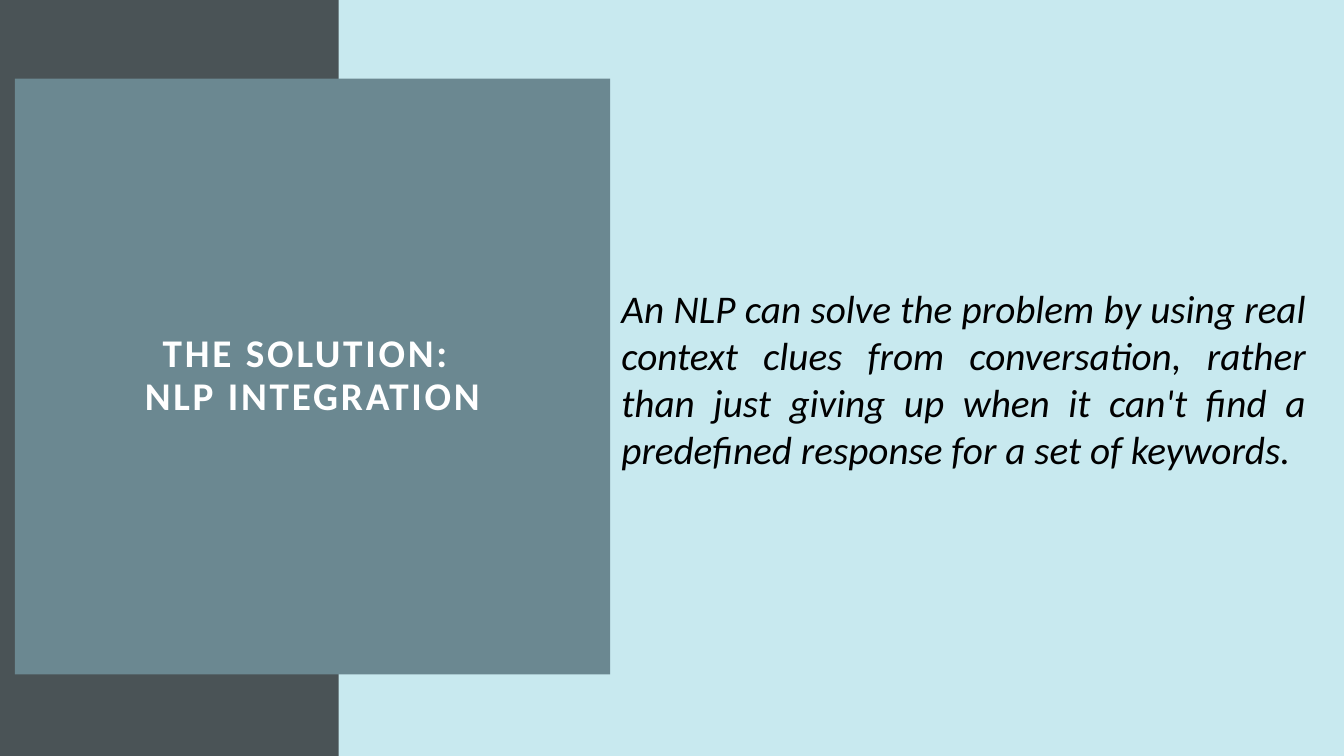
from copy import deepcopy
from dataclasses import dataclass

from pptx import Presentation
from pptx import util as u
from pptx.dml.color import RGBColor
from pptx.enum import shapes, text


@dataclass(frozen=True)
class Theme:
    background: str = "C8E9EF"
    band: str = "4A5356"
    panel: str = "6B8891"
    light: str = "FFFFFF"
    dark: str = "000000"
    font: str = "Calibri"
    size: int = 28


def write(frame, content, *, font, size, color, align, bold=False, italic=False,
          tracking=0, line_spacing=1.0):
    """Fill the frame with one middle-anchored paragraph; \\n is a line break."""
    frame.word_wrap = True
    frame.auto_size = text.MSO_AUTO_SIZE.NONE
    frame.vertical_anchor = text.MSO_ANCHOR.MIDDLE
    paragraph = frame.paragraphs[0]
    paragraph.alignment = align
    paragraph.line_spacing = line_spacing
    for number, line in enumerate(content.split("\n")):
        if number:
            paragraph.add_line_break()
        run = paragraph.add_run()
        run.text = line
        run.font.name = font
        run.font.size = u.Pt(size)
        run.font.bold = bold
        run.font.italic = italic
        run.font.color.rgb = RGBColor.from_string(color)
        properties = run.font._element
        if tracking:
            properties.set("spc", str(tracking * 100))
        if number:
            # The break takes the format of its line, so it keeps the line height.
            run._r.getprevious().append(deepcopy(properties))


class SlideBuilder:
    def __init__(self, deck, theme):
        self.deck = deck
        self.theme = theme
        self.slide = deck.slides.add_slide(deck.slide_layouts[5])
        self.paint(self.slide.background, theme.background)

    def paint(self, target, color):
        target.fill.solid()
        target.fill.fore_color.rgb = RGBColor.from_string(color)

    def box(self, left, top, width, height):
        """Turn shares of the slide's size into lengths."""
        across, down = self.deck.slide_width, self.deck.slide_height
        return [u.Emu(round(share * side)) for share, side in
                zip((left, top, width, height), (across, down, across, down))]

    def band(self, *area):
        band = self.slide.shapes.add_shape(shapes.MSO_SHAPE.RECTANGLE, *self.box(*area))
        band.shadow.inherit = False
        band.line.fill.background()
        self.paint(band, self.theme.band)

    def title_panel(self, content, *area):
        title = self.slide.shapes.title
        title.left, title.top, title.width, title.height = self.box(*area)
        self.paint(title, self.theme.panel)
        frame = title.text_frame
        frame.margin_left = frame.margin_right = u.Inches(0.2)
        frame.margin_top = frame.margin_bottom = u.Inches(0.2)
        write(frame, content, font=self.theme.font, size=self.theme.size,
              color=self.theme.light, align=text.PP_ALIGN.CENTER, bold=True,
              tracking=2, line_spacing=0.9)
        self.slide.shapes._spTree.append(title._element)  # in front of the band

    def statement(self, content, *area):
        statement = self.slide.shapes.add_textbox(*self.box(*area))
        write(statement.text_frame, content, font=self.theme.font,
              size=self.theme.size, color=self.theme.dark,
              align=text.PP_ALIGN.JUSTIFY, italic=True)


def main():
    deck = Presentation()
    deck.slide_width, deck.slide_height = u.Inches(13.33), u.Inches(7.5)
    solution = SlideBuilder(deck, Theme())
    solution.band(0, 0, 0.252, 1)
    solution.title_panel("THE SOLUTION: \nNLP INTEGRATION", 0.011, 0.104, 0.443, 0.788)
    solution.statement(
        "An NLP can solve the problem by using real context clues from "
        "conversation, rather than just giving up when it can't find a "
        "predefined response for a set of keywords.",
        0.455, 0.384, 0.524, 0.232)
    deck.save("out.pptx")


if __name__ == "__main__":
    main()
